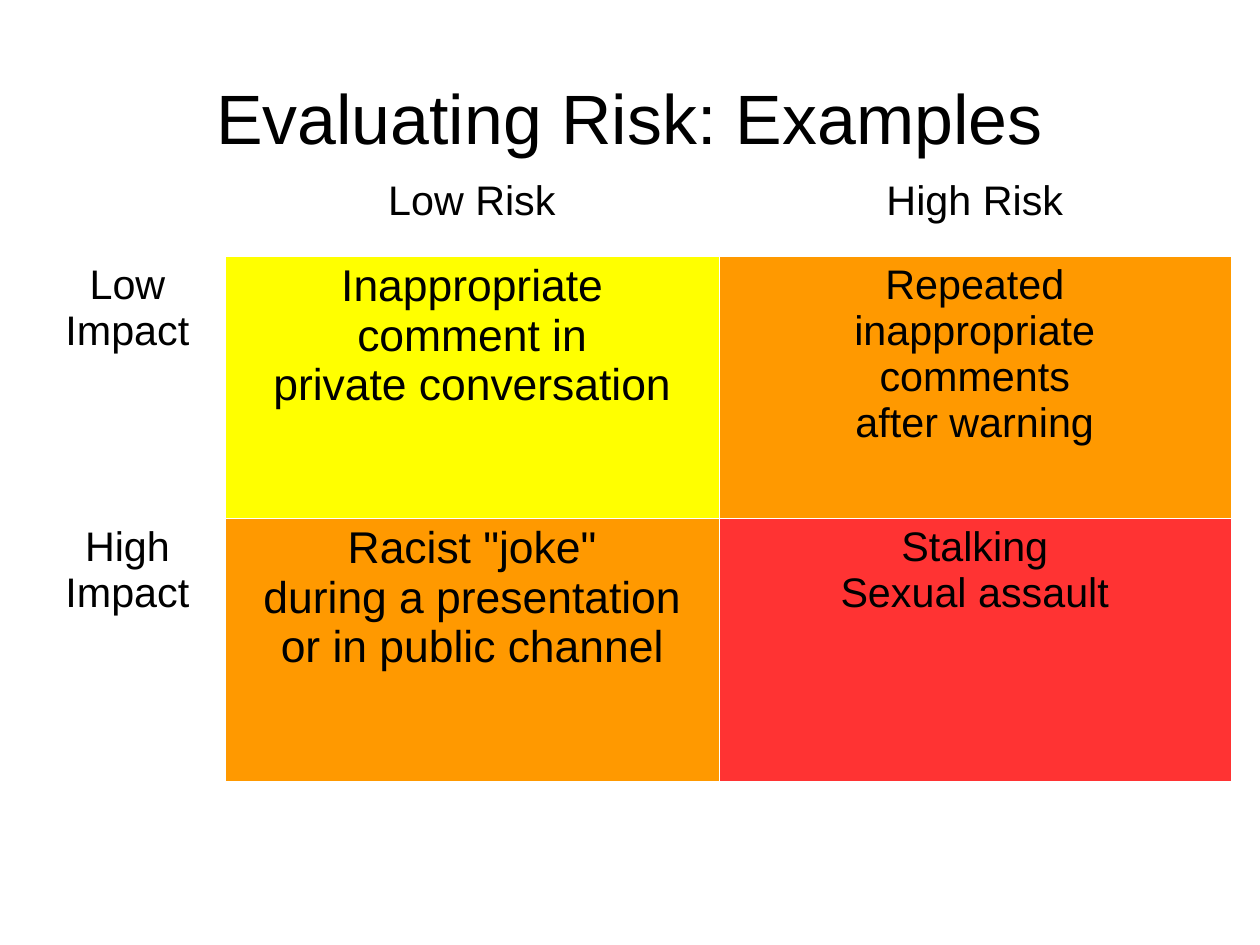
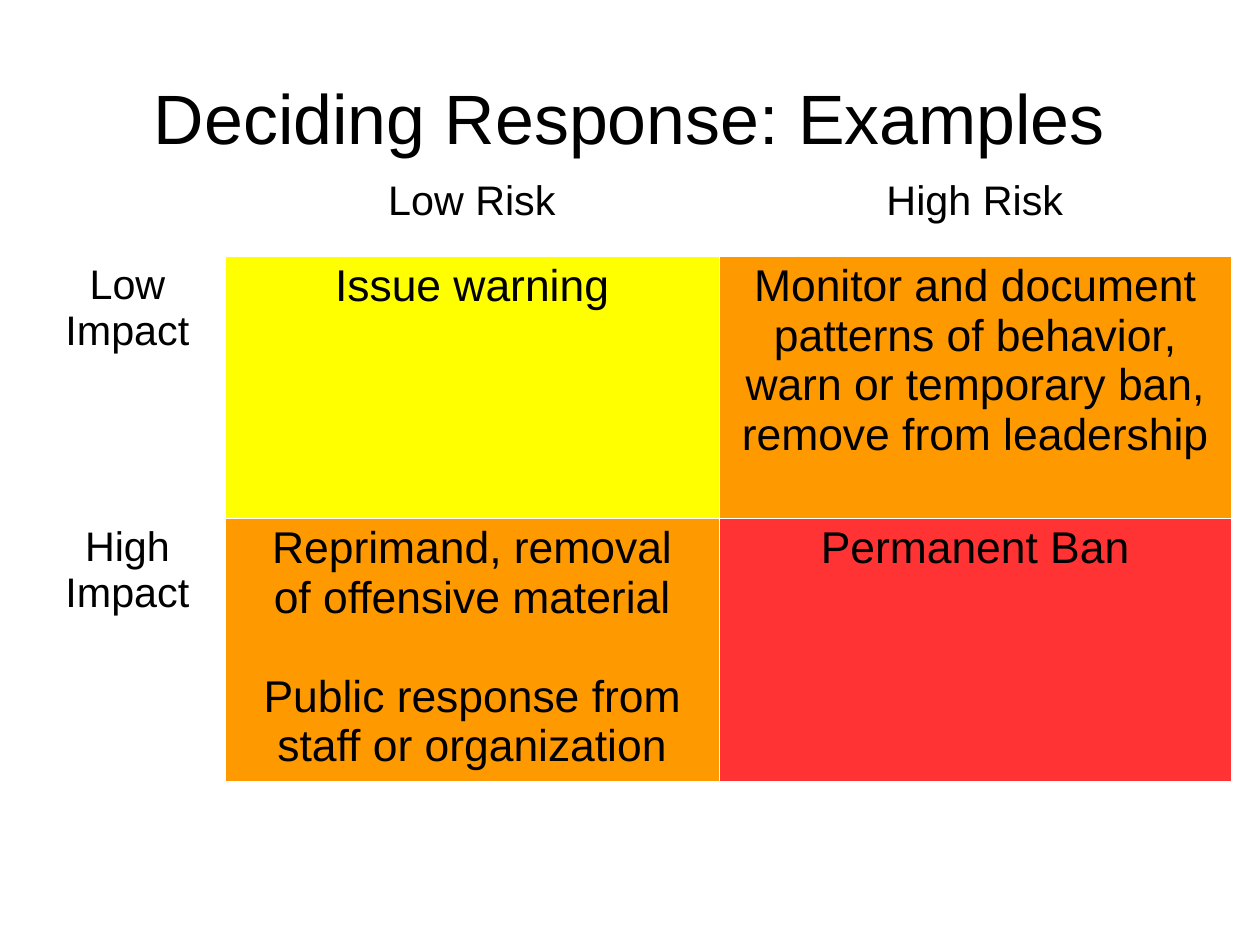
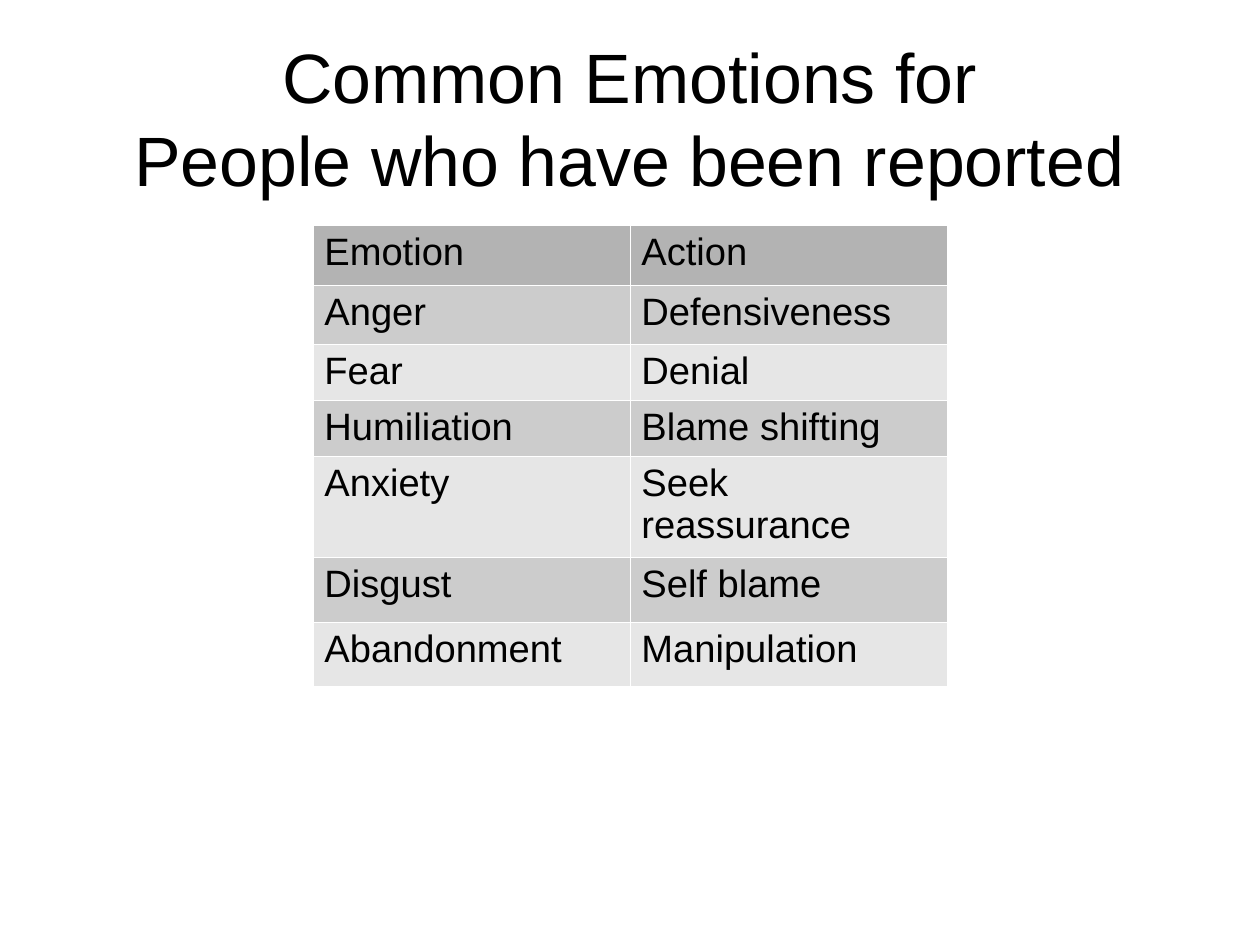
"""Builds three slides on weighing conduct reports, deciding responses and common emotions."""
import lxml.etree
import pptx
import pptx.dml.color
import pptx.enum.text
import pptx.oxml.ns
import pptx.util

PX = 8000
FONT = "Arial"
BLACK, WHITE = "000000", "FFFFFF"
YELLOW, ORANGE, RED = "FFFF00", "FF9900", "FF3333"
HEADER_GRAY, DARK_GRAY, LIGHT_GRAY = "B3B3B3", "CCCCCC", "E6E6E6"
CENTER = pptx.enum.text.PP_ALIGN.CENTER
LEFT = pptx.enum.text.PP_ALIGN.LEFT


def format_paragraphs(text_frame, size, alignment):
    for paragraph in text_frame.paragraphs:
        paragraph.alignment = alignment
        for run in paragraph.runs:
            run.font.name = FONT
            run.font.size = pptx.util.Pt(size)
            run.font.color.rgb = pptx.dml.color.RGBColor.from_string(BLACK)


def add_table_slide(heading, rows, fills, sizes, alignment, left, top, widths, heights):
    slide = deck.slides.add_slide(title_layout)
    title = slide.shapes.title
    title.text_frame.text = heading
    format_paragraphs(title.text_frame, 44, CENTER)

    frame = slide.shapes.add_table(len(rows), len(widths), left * PX, top * PX,
                                   sum(widths) * PX, sum(heights) * PX)
    table = frame.table
    table.first_row = False
    table.horz_banding = False
    for column, width in zip(table.columns, widths):
        column.width = width * PX
    for r, height in enumerate(heights):
        table.rows[r].height = height * PX
        for c, text in enumerate(rows[r]):
            cell = table.cell(r, c)
            cell.text_frame.text = text
            format_paragraphs(cell.text_frame, sizes[r][c], alignment)
            properties = cell._tc.get_or_add_tcPr()
            for side in ("a:lnL", "a:lnR", "a:lnT", "a:lnB"):
                border = lxml.etree.SubElement(properties, pptx.oxml.ns.qn(side), w="762")
                line_fill = lxml.etree.SubElement(border, pptx.oxml.ns.qn("a:solidFill"))
                lxml.etree.SubElement(line_fill, pptx.oxml.ns.qn("a:srgbClr"), val=WHITE)
            cell.fill.solid()
            cell.fill.fore_color.rgb = pptx.dml.color.RGBColor.from_string(fills[r][c])
    return table


deck = pptx.Presentation()
deck.slide_width = 1260 * PX
deck.slide_height = 945 * PX

title_layout = deck.slide_layouts[5]
layout_title = title_layout.placeholders[0]
layout_title.left, layout_title.top = 63 * PX, 38 * PX
layout_title.width, layout_title.height = 1134 * PX, 158 * PX
title_frame = layout_title.text_frame
title_frame.margin_left = title_frame.margin_right = 0
title_frame.margin_top = title_frame.margin_bottom = 0
title_frame.vertical_anchor = pptx.enum.text.MSO_ANCHOR.MIDDLE
title_frame.auto_size = pptx.enum.text.MSO_AUTO_SIZE.NONE
title_frame.word_wrap = True

risk_header = ["", "Low Risk", "High Risk"]
matrix_fills = [[WHITE] * 3, [WHITE, YELLOW, ORANGE], [WHITE, ORANGE, RED]]
matrix_place = {"alignment": CENTER, "left": 30, "top": 172,
                "widths": [195, 494, 512], "heights": [84, 262, 263]}

example_rows = [
    risk_header,
    ["Low\nImpact", "Inappropriate\ncomment in\nprivate conversation",
     "Repeated\ninappropriate\ncomments\nafter warning"],
    ["High\nImpact", "Racist \"joke\"\nduring a presentation\nor in public channel",
     "Stalking\nSexual assault"],
]
add_table_slide("Evaluating Risk: Examples", example_rows, matrix_fills,
                [[26] * 3, [26, 28, 26], [26, 28, 26]], **matrix_place)

response_rows = [
    risk_header,
    ["Low\nImpact", "Issue warning",
     "Monitor and document\npatterns of behavior,\nwarn or temporary ban,\nremove from leadership"],
    ["High\nImpact",
     "Reprimand, removal\nof offensive material\nPublic response from\nstaff or organization",
     "Permanent Ban"],
]
responses = add_table_slide("Deciding Response: Examples", response_rows, matrix_fills,
                            [[26] * 3, [26, 28, 28], [26, 28, 28]], **matrix_place)
public_response = responses.cell(2, 1).text_frame.paragraphs[2]
public_response.space_before = pptx.util.Pt(31)

emotion_rows = [
    ["Emotion", "Action"],
    ["Anger", "Defensiveness"],
    ["Fear", "Denial"],
    ["Humiliation", "Blame shifting"],
    ["Anxiety", "Seek reassurance"],
    ["Disgust", "Self blame"],
    ["Abandonment", "Manipulation"],
]
emotion_fills = [[HEADER_GRAY] * 2] + [[DARK_GRAY] * 2, [LIGHT_GRAY] * 2] * 3
add_table_slide("Common Emotions for\vPeople who have been reported", emotion_rows,
                emotion_fills, [[24] * 2] * len(emotion_rows), LEFT, left=313, top=225,
                widths=[317, 317], heights=[60, 59, 56, 56, 101, 65, 64])

deck.save("out.pptx")
